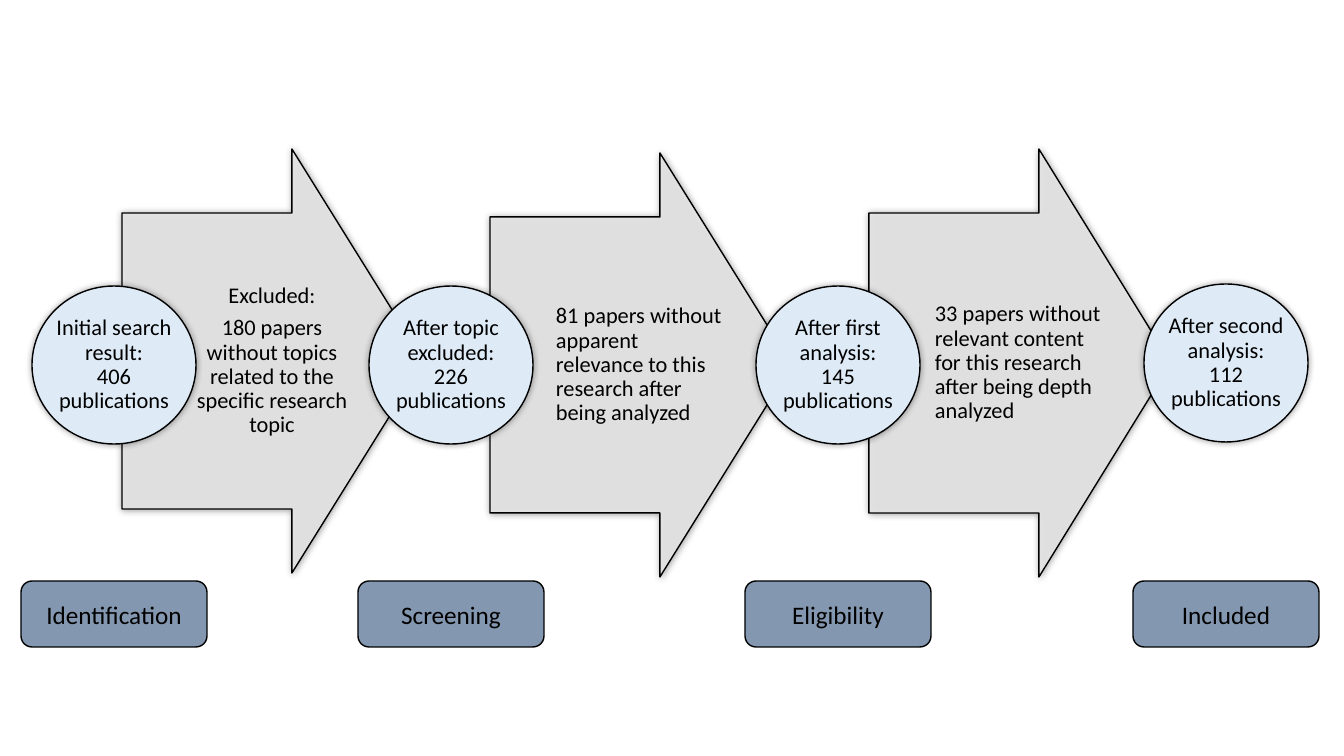
from dataclasses import dataclass

from lxml import etree
from pptx import Presentation
from pptx.dml.color import RGBColor
from pptx.enum.shapes import MSO_SHAPE
from pptx.enum.text import MSO_ANCHOR, PP_ALIGN
from pptx.oxml.ns import qn
from pptx.util import Pt

OVAL = MSO_SHAPE.OVAL
ROUND = MSO_SHAPE.ROUNDED_RECTANGLE
MIDDLE = MSO_ANCHOR.MIDDLE
LEFT, CENTER = PP_ALIGN.LEFT, PP_ALIGN.CENTER

WIDE, HIGH = 1344, 756
SCALE = 12192000 / WIDE


@dataclass(frozen=True)
class Theme:
    font: str = "Calibri"
    ink: str = "000000"
    arrow: str = "E7E6E6"
    circle: str = "DEEBF7"
    label: str = "8497B0"
    body: int = 16
    head: int = 18
    line: int = 1


THEME = Theme()

# Arrow: left, top, height, alignment, space after, paragraphs
ARROWS = [
    (122, 149, 424, CENTER, 5.6, [
        "Excluded:",
        "180 papers without topics related to the specific research topic"]),
    (490, 153, 424, LEFT, 2.4, [
        "81 papers without apparent relevance to this research after being analyzed"]),
    (869, 149, 428, LEFT, 2.4, [
        "33 papers without relevant content for this research after being depth analyzed"]),
]
# Stage: circle left, circle top, circle text, label
STAGES = [
    (32, 286, "Initial search result:\v406 publications", "Identification"),
    (369, 286, "After topic excluded:\v226 publications", "Screening"),
    (756, 286, "After first analysis:\v145 publications", "Eligibility"),
    (1144, 284, "After second analysis:\v112 publications", "Included"),
]
ARROW_W, NECK, SHOULDER = 302, 170, 64
CIRCLE_W, CIRCLE_H = 164, 158
LABEL_W, LABEL_H, LABEL_TOP = 186, 66, 581


def px(num):
    return round(num * SCALE)


def paint(shape, color):
    shape.shadow.inherit = False
    shape.fill.solid()
    shape.fill.fore_color.rgb = RGBColor.from_string(color)
    shape.line.color.rgb = RGBColor.from_string(THEME.ink)
    shape.line.width = Pt(THEME.line)


def set_alpha(node, percent):
    etree.SubElement(node, qn("a:alpha"), val=str(percent * 1000))


def add_glow(shape):
    """Add a soft shadow, spread evenly around the shape."""
    effects = shape._element.spPr.find(qn("a:effectLst"))
    shadow = etree.SubElement(effects, qn("a:outerShdw"), blurRad=str(Pt(5)),
                              dist="0", dir="0", rotWithShape="0")
    set_alpha(etree.SubElement(shadow, qn("a:srgbClr"), val=THEME.ink), 40)


def write(shape, lines, size, align=CENTER, spacing=None, after=0, insets=None):
    """Fill the shape with paragraphs; insets are left, top, right, bottom."""
    frame = shape.text_frame
    frame.word_wrap = True
    frame.vertical_anchor = MIDDLE
    if insets:
        (frame.margin_left, frame.margin_top,
         frame.margin_right, frame.margin_bottom) = map(px, insets)
    frame.text = "\n".join(lines)
    for para in frame.paragraphs:
        para.alignment = align
        para.line_spacing = spacing
        para.space_after = Pt(after)
        for run in para.runs:
            run.font.name = THEME.font
            run.font.size = Pt(size)
            run.font.color.rgb = RGBColor.from_string(THEME.ink)


def add_arrow(slide, left, top, height, align, after, lines):
    neck, tip = left + NECK, left + ARROW_W
    base = top + height
    pen = slide.shapes.build_freeform(left, top + SHOULDER, scale=SCALE)
    pen.add_line_segments([
        (neck, top + SHOULDER), (neck, top), (tip, top + height // 2),
        (neck, base), (neck, base - SHOULDER), (left, base - SHOULDER)])
    arrow = pen.convert_to_shape()
    paint(arrow, THEME.arrow)
    set_alpha(arrow._element.spPr.find(f"{qn('a:solidFill')}/{qn('a:srgbClr')}"), 90)
    add_glow(arrow)
    write(arrow, lines, THEME.body, align, 0.9, after, (66, 33, 68, 33))


def add_circle(slide, left, top, text):
    circle = slide.shapes.add_shape(OVAL, px(left), px(top), px(CIRCLE_W), px(CIRCLE_H))
    paint(circle, THEME.circle)
    add_glow(circle)
    write(circle, [text], THEME.body, CENTER, 0.9, 5.6, (0, 0, 0, 0))


def add_label(slide, left, text):
    label = slide.shapes.add_shape(ROUND, px(left), px(LABEL_TOP), px(LABEL_W), px(LABEL_H))
    paint(label, THEME.label)
    write(label, [text], THEME.head)


def main():
    deck = Presentation()
    deck.slide_width, deck.slide_height = px(WIDE), px(HIGH)
    slide = deck.slides.add_slide(deck.slide_layouts[6])
    for index, (left, top, text, _) in enumerate(STAGES):
        if index < len(ARROWS):
            add_arrow(slide, *ARROWS[index])
        add_circle(slide, left, top, text)
    for left, _, _, name in STAGES:
        add_label(slide, left - (LABEL_W - CIRCLE_W) // 2, name)
    deck.save("out.pptx")


if __name__ == "__main__":
    main()
